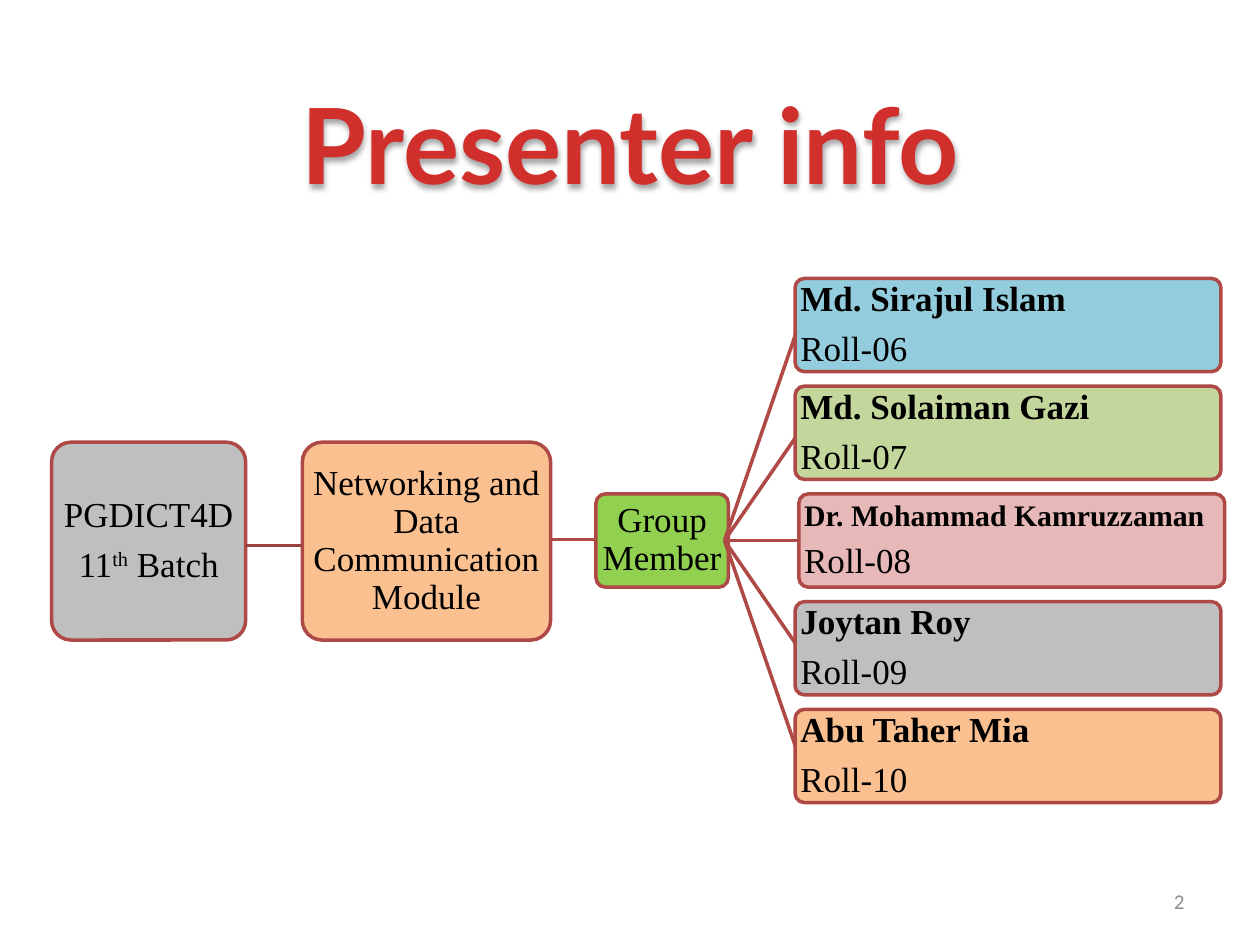
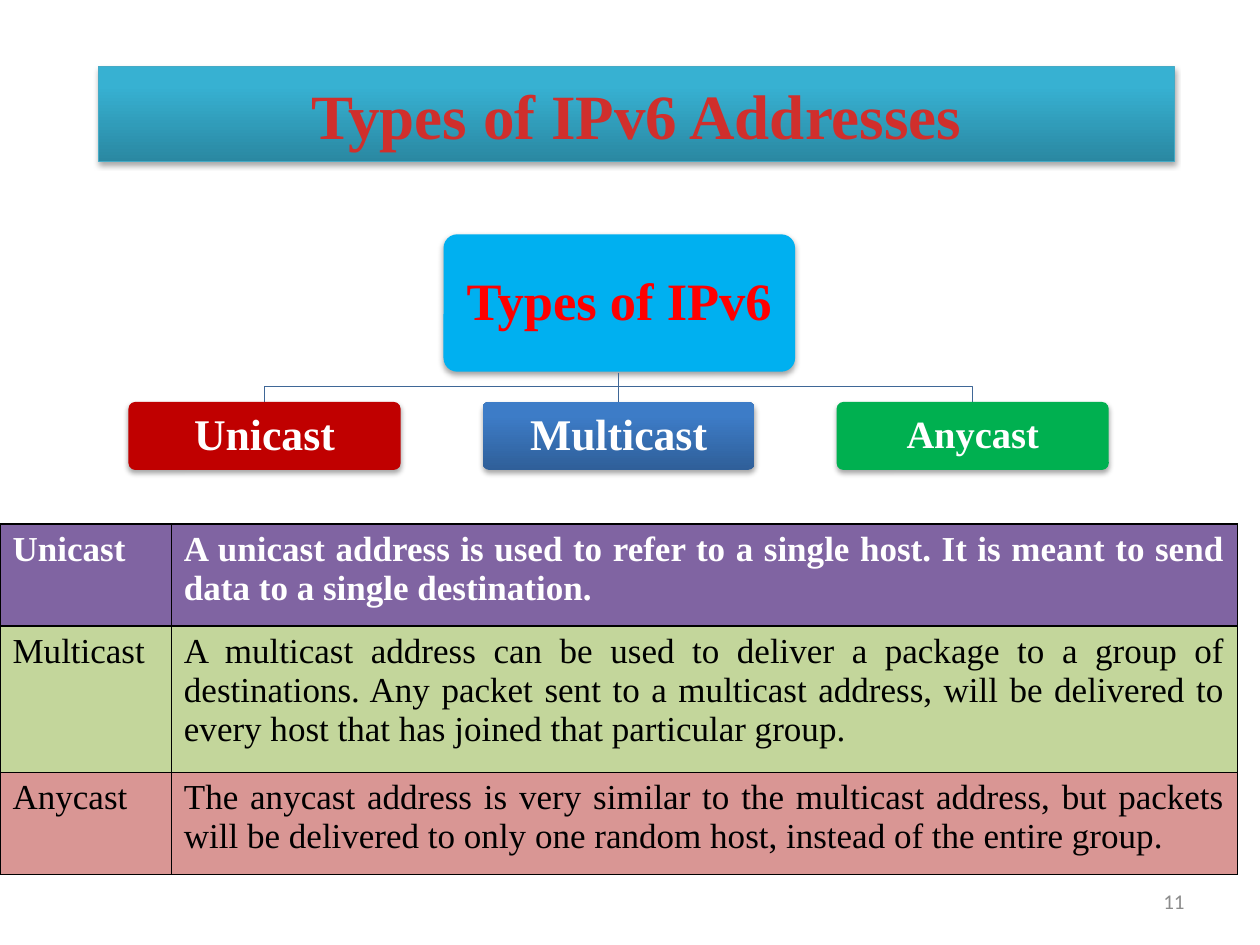
from dataclasses import dataclass

from lxml import etree
from pptx import Presentation
from pptx.dml.color import RGBColor
from pptx.enum.shapes import MSO_CONNECTOR, MSO_SHAPE
from pptx.enum.text import MSO_ANCHOR, PP_ALIGN
from pptx.oxml.ns import qn
from pptx.util import Inches, Pt

LEFT, CENTER, RIGHT, JUSTIFY = PP_ALIGN.LEFT, PP_ALIGN.CENTER, PP_ALIGN.RIGHT, PP_ALIGN.JUSTIFY
MIDDLE = MSO_ANCHOR.MIDDLE
ROUNDED = MSO_SHAPE.ROUNDED_RECTANGLE
STRAIGHT = MSO_CONNECTOR.STRAIGHT
TITLE_ONLY = 5


@dataclass(frozen=True)
class Theme:
    serif: str = "Times New Roman"
    heading: str = "Lato"
    number: str = "Calibri"
    title_red: str = "D02F2C"
    root_red: str = "FF0000"
    outline: str = "AE4946"
    first_link: str = "9A403E"
    tree_line: str = "3F6797"
    band_edge: str = "46AAC5"
    band: tuple = ("2A88A2", "37B1D2")
    blue_blend: tuple = ("2F5F99", "3D7CC7")
    sky: str = "00B0F0"
    crimson: str = "C00000"
    emerald: str = "00B050"
    gray: str = "BFBFBF"
    orange: str = "FAC090"
    lime: str = "92D050"
    aqua: str = "93CDDD"
    olive: str = "C3D69B"
    pink: str = "E6B9B8"
    rose: str = "D99694"
    purple: str = "8064A2"
    black: str = "000000"
    white: str = "FFFFFF"
    muted: str = "8C8C8C"
    hero_size: int = 60
    title_size: int = 36
    root_size: int = 30
    branch_size: int = 25
    small_branch_size: int = 22
    body_size: int = 20
    long_name_size: int = 17
    number_size: int = 12


THEME = Theme()


class Deck:
    def __init__(self, theme):
        self.theme = theme
        self.prs = Presentation()
        self.prs.slide_width, self.prs.slide_height = Inches(10), Inches(7.5)
        self.slide = None

    def new_slide(self, number):
        self.slide = self.prs.slides.add_slide(self.prs.slide_layouts[TITLE_ONLY])
        box = self.slide.shapes.add_textbox(*map(Inches, (7.17, 6.95, 2.33, 0.4)))
        box.text_frame.word_wrap = True
        box.text_frame.vertical_anchor = MIDDLE
        paragraph = box.text_frame.paragraphs[0]
        paragraph.text = str(number)
        self.style(paragraph, self.theme.number_size, self.theme.muted, RIGHT,
                   font=self.theme.number)

    def style(self, paragraph, size, color, align, bold=False, font=None):
        paragraph.alignment = align
        paragraph.font.name = font or self.theme.serif
        paragraph.font.size = Pt(size)
        paragraph.font.bold = bold
        paragraph.font.color.rgb = RGBColor.from_string(color)

    def fill(self, shape, color):
        """Fill with one colour, or blend a pair upwards from the bottom."""
        if isinstance(color, str):
            shape.fill.solid()
            shape.fill.fore_color.rgb = RGBColor.from_string(color)
            return
        shape.fill.gradient()
        shape.fill.gradient_angle = 90
        for stop, shade, position in zip(shape.fill.gradient_stops, color, (0, 0.8)):
            stop.color.rgb = RGBColor.from_string(shade)
            stop.position = position

    def outline(self, shape, color, width):
        shape.line.color.rgb = RGBColor.from_string(color)
        shape.line.width = Pt(width)

    def drop_shadow(self, shape):
        shape.shadow.inherit = False
        effects = shape.element.spPr.find(qn("a:effectLst"))
        shadow = etree.SubElement(effects, qn("a:outerShdw"), blurRad="40000",
                                  dist="23000", dir="5400000", rotWithShape="0")
        color = etree.SubElement(shadow, qn("a:srgbClr"), val=self.theme.black)
        etree.SubElement(color, qn("a:alpha"), val="35000")

    def title(self, text, at, size, font, band=None):
        title = self.slide.shapes.title
        title.left, title.top, title.width, title.height = map(Inches, at)
        title.text_frame.text = text
        title.text_frame.vertical_anchor = MIDDLE
        self.style(title.text_frame.paragraphs[0], size, self.theme.title_red, CENTER,
                   bold=True, font=font)
        if band:
            self.fill(title, band)
            self.outline(title, self.theme.band_edge, 0.75)
        self.drop_shadow(title)

    def box(self, at, color, lines, inset, align=CENTER, text_color=THEME.black, raised=False):
        """Rounded box; each line is (text or list of (text, superscript) runs, size, bold)."""
        box = self.slide.shapes.add_shape(ROUNDED, *map(Inches, at))
        box.adjustments[0] = 0.1
        self.fill(box, color)
        if raised:
            box.line.fill.background()
            self.drop_shadow(box)
        else:
            self.outline(box, self.theme.outline, 2)
            box.shadow.inherit = False
        frame = box.text_frame
        frame.word_wrap = True
        frame.vertical_anchor = MIDDLE
        frame.margin_left = frame.margin_right = Inches(inset)
        frame.margin_top = frame.margin_bottom = Inches(inset)
        for index, (text, size, bold) in enumerate(lines):
            paragraph = frame.add_paragraph() if index else frame.paragraphs[0]
            paragraph.line_spacing = 0.9
            paragraph.space_after = Pt(0.35 * size)
            self.style(paragraph, size, text_color, align, bold)
            for part, superscript in [(text, False)] if isinstance(text, str) else text:
                run = paragraph.add_run()
                run.text = part
                if superscript:
                    run._r.get_or_add_rPr().set("baseline", "30000")

    def line(self, start, end, color, width):
        line = self.slide.shapes.add_connector(STRAIGHT, *map(Inches, (*start, *end)))
        self.outline(line, color, width)
        etree.SubElement(line.element.spPr, qn("a:effectLst"))

    def bent_line(self, points, color, width):
        start, *rest = [tuple(map(Inches, point)) for point in points]
        builder = self.slide.shapes.build_freeform(*start)
        builder.add_line_segments(rest, close=False)
        bend = builder.convert_to_shape()
        bend.fill.background()
        self.outline(bend, color, width)
        bend.shadow.inherit = False

    def cell_border(self, cell):
        properties = cell._tc.get_or_add_tcPr()
        for index, side in enumerate(("lnL", "lnR", "lnT", "lnB")):
            edge = etree.Element(qn(f"a:{side}"), w=str(Pt(1)))
            solid = etree.SubElement(edge, qn("a:solidFill"))
            etree.SubElement(solid, qn("a:srgbClr"), val=self.theme.black)
            properties.insert(index, edge)

    def table(self, at, widths, heights, rows):
        """Rows are (term, meaning, fill, text colour, bold)."""
        table = self.slide.shapes.add_table(
            len(rows), len(widths), *map(Inches, (*at, sum(widths), sum(heights)))).table
        table.first_row = table.horz_banding = False
        for column, width in zip(table.columns, widths):
            column.width = Inches(width)
        for row, height, (term, meaning, fill, color, bold) in zip(table.rows, heights, rows):
            row.height = Inches(height)
            for cell, text, align in zip(row.cells, (term, meaning), (LEFT, JUSTIFY)):
                cell.text = text
                self.style(cell.text_frame.paragraphs[0], self.theme.body_size, color, align, bold)
                self.fill(cell, fill)
                self.cell_border(cell)


def presenter_slide(deck):
    theme = deck.theme
    size = theme.body_size
    deck.new_slide(2)
    deck.title("Presenter info", (0, 0.43, 10, 1.4), theme.hero_size, theme.heading)

    batch = [("PGDICT4D", size, False),
             ([("11", False), ("th", True), (" Batch", False)], size, False)]
    module = [("Networking and Data Communication Module", size, False)]
    deck.box((0.41, 3.51, 1.54, 1.57), theme.gray, batch, 0.02)
    deck.box((2.4, 3.51, 1.97, 1.57), theme.orange, module, 0.02)
    deck.box((4.73, 3.92, 1.05, 0.74), theme.lime, [("Group Member", size, False)], 0.02)
    deck.line((1.95, 4.33), (2.4, 4.33), theme.first_link, 2)
    deck.line((4.36, 4.28), (4.73, 4.28), theme.outline, 2)

    members = [
        ("Md. Sirajul Islam", "Roll-06", theme.aqua, size, 6.31),
        ("Md. Solaiman Gazi", "Roll-07", theme.olive, size, 6.31),
        ("Dr. Mohammad Kamruzzaman", "Roll-08", theme.pink, theme.long_name_size, 6.34),
        ("Joytan Roy", "Roll-09", theme.gray, size, 6.31),
        ("Abu Taher Mia", "Roll-10", theme.orange, size, 6.31),
    ]
    first_top, pitch, height = 2.21, 0.855, 0.74
    for index, (name, roll, color, name_size, left) in enumerate(members):
        top = first_top + index * pitch
        deck.line((5.75, 4.29), (6.34, top + height / 2), theme.outline, 2)
        deck.box((left, top, 3.38, height), color,
                 [(name, name_size, True), (roll, size, False)], 0.02, LEFT)


def address_types_slide(deck):
    theme = deck.theme
    deck.new_slide(11)
    deck.title("Types of IPv6 Addresses", (0.78, 0.53, 8.54, 0.75), theme.title_size,
               theme.serif, theme.band)

    branches = [
        ("Unicast", theme.crimson, theme.branch_size),
        ("Multicast", theme.blue_blend, theme.branch_size),
        ("Anycast", theme.emerald, theme.small_branch_size),
    ]
    center, pitch, width = 4.91, 2.81, 2.16
    root_bottom, bus, branch_top = 2.96, 3.07, 3.19
    deck.box((3.52, 1.86, 2.79, 1.09), theme.sky,
             [("Types of IPv6", theme.root_size, True)], 0.12,
             text_color=theme.root_red, raised=True)
    for offset, (name, color, size) in enumerate(branches, start=-1):
        middle = center + offset * pitch
        if offset:
            deck.bent_line([(center, root_bottom), (center, bus), (middle, bus),
                            (middle, branch_top)], theme.tree_line, 0.75)
        else:
            deck.line((center, root_bottom), (center, branch_top), theme.tree_line, 0.75)
        deck.box((middle - width / 2, branch_top, width, 0.54), color,
                 [(name, size, True)], 0.1, text_color=theme.white, raised=True)

    deck.table((0, 4.16), (1.36, 8.46), (0.81, 1.16, 0.81), [
        ("Unicast",
         "A unicast address is used to refer to a single host. It is meant to send data "
         "to a single destination.",
         theme.purple, theme.white, True),
        ("Multicast",
         "A multicast address can be used to deliver a package to a group of "
         "destinations. Any packet sent to a multicast address, will be delivered to "
         "every host that has joined that particular group.",
         theme.olive, theme.black, False),
        ("Anycast",
         "The anycast address is very similar to the multicast address, but packets will "
         "be delivered to only one random host, instead of the entire group.",
         theme.rose, theme.black, False),
    ])


def main():
    deck = Deck(THEME)
    presenter_slide(deck)
    address_types_slide(deck)
    deck.prs.save("out.pptx")


if __name__ == "__main__":
    main()
